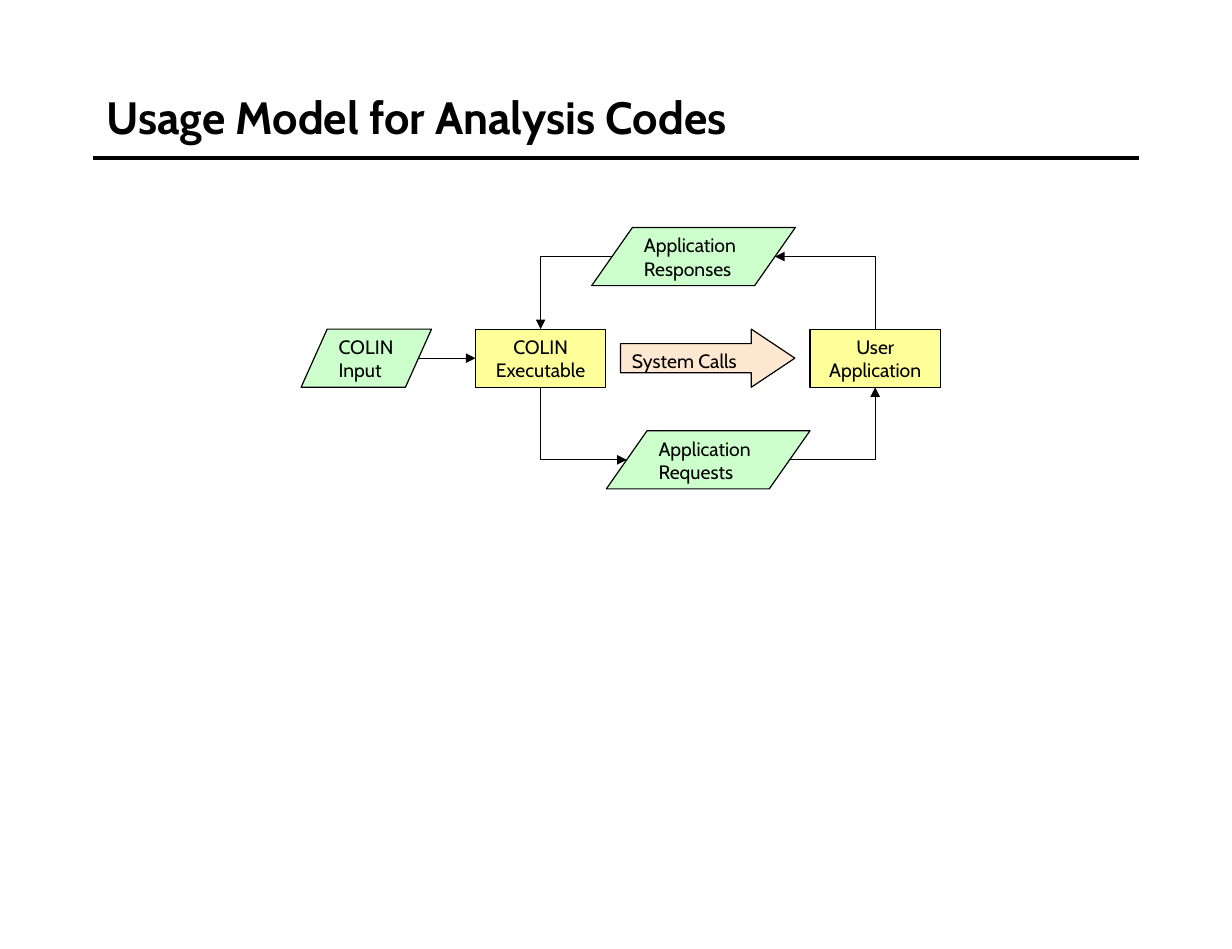
import pptx
import pptx.util
import pptx.dml.color
import pptx.enum.shapes
import pptx.enum.text
import pptx.oxml.ns
import lxml.etree

Cm = pptx.util.Cm
Pt = pptx.util.Pt
SHAPE = pptx.enum.shapes.MSO_SHAPE
LINK = pptx.enum.shapes.MSO_CONNECTOR
ALIGN = pptx.enum.text.PP_ALIGN
ANCHOR = pptx.enum.text.MSO_ANCHOR
qn = pptx.oxml.ns.qn

TITLE = "Usage Model for Analysis Codes"
FONT = "Cabin"
BLACK = "000000"

KINDS = {
    "data": (SHAPE.FLOWCHART_DATA, "CCFFCC", ALIGN.LEFT, 0.1),
    "program": (SHAPE.RECTANGLE, "FFFF99", ALIGN.CENTER, 0),
    "calls": (SHAPE.RIGHT_ARROW, "FFCC99", ALIGN.LEFT, 0),
}
STEPS = {
    "input": ("data", 6.58, 1, 2.85, ["COLIN", "Input"]),
    "executable": ("program", 10.39, 1, 2.85, ["COLIN", "Executable"]),
    "requests": ("data", 13.25, 2, 4.45, ["Application", "Requests"]),
    "user": ("program", 17.7, 1, 2.85, ["User", "Application"]),
    "responses": ("data", 12.93, 0, 4.45, ["Application", "Responses"]),
    "calls": ("calls", 13.56, 1, 3.81, ["System Calls"]),
}
FLOWS = [
    ("input", "right", "executable", "left"),
    ("executable", "bottom", "requests", "left"),
    ("responses", "left", "executable", "top"),
    ("user", "top", "responses", "right"),
    ("requests", "right", "user", "bottom"),
]
FIRST_ROW, ROW_STEP, STEP_HEIGHT = 4.97, 2.22, 1.27

deck = pptx.Presentation()
deck.slide_width, deck.slide_height = Cm(26.92), Cm(20.73)
slide = deck.slides.add_slide(deck.slide_layouts[6])


def color(value):
    return pptx.dml.color.RGBColor.from_string(value)


def write(frame, lines, size, align, margins, bold=False):
    frame.word_wrap = True
    frame.margin_left = frame.margin_right = Cm(margins[0])
    frame.margin_top = frame.margin_bottom = Cm(margins[1])
    for index, line in enumerate(lines):
        paragraph = frame.add_paragraph() if index else frame.paragraphs[0]
        paragraph.alignment = align
        run = paragraph.add_run()
        run.text = line
        run.font.name, run.font.size, run.font.bold = FONT, Pt(size), bold
        run.font.color.rgb = color(BLACK)


def row_top(row):
    return FIRST_ROW + row * ROW_STEP


def port(step, side):
    kind, left, row, width, _ = STEPS[step]
    slant = KINDS[kind][3] * width
    top = row_top(row)
    return {
        "left": (left + slant, top + STEP_HEIGHT / 2),
        "right": (left + width - slant, top + STEP_HEIGHT / 2),
        "top": (left + width / 2, top),
        "bottom": (left + width / 2, top + STEP_HEIGHT),
    }[side]


def draw_line(start, end, weight, link=LINK.STRAIGHT):
    line = slide.shapes.add_connector(link, *map(Cm, start + end))
    line.line.color.rgb = color(BLACK)
    line.line.width = Pt(weight)
    lxml.etree.SubElement(line._element.spPr, qn("a:effectLst"))
    return line


def bend(flow, start, end, upright):
    across, down = end[0] - start[0], end[1] - start[1]
    width, height = abs(across), abs(down)
    if upright:
        width, height = height, width
    flow.left = Cm((start[0] + end[0] - width) / 2)
    flow.top = Cm((start[1] + end[1] - height) / 2)
    flow.width, flow.height = Cm(width), Cm(height)
    frame = flow._element.spPr.find(qn("a:xfrm"))
    frame.set("rot", "16200000" if upright else "0")
    frame.set("flipH", str(int(down > 0 if upright else across < 0)))
    frame.set("flipV", str(int(across < 0 if upright else down < 0)))
    flow._element.spPr.find(qn("a:prstGeom")).set("prst", "bentConnector2")


def draw_step(kind, left, row, width, lines):
    outline, fill, align, _ = KINDS[kind]
    step = slide.shapes.add_shape(
        outline, Cm(left), Cm(row_top(row)), Cm(width), Cm(STEP_HEIGHT))
    step.shadow.inherit = False
    step.fill.solid()
    step.fill.fore_color.rgb = color(fill)
    step.line.color.rgb = color(BLACK)
    step.line.width = Pt(0.75)
    step.text_frame.vertical_anchor = ANCHOR.TOP
    write(step.text_frame, lines, 12, align, (0.25, 0.13))
    if kind == "calls":
        step.adjustments[0], step.adjustments[1] = 0.5, 0.75
        tint = step._element.spPr.find(qn("a:solidFill"))[0]
        lxml.etree.SubElement(tint, qn("a:alpha")).set("val", "44000")


def draw_flow(source, exit_side, target, entry_side):
    start, end = port(source, exit_side), port(target, entry_side)
    straight = start[1] == end[1]
    flow = draw_line(start, end, 0.75, LINK.STRAIGHT if straight else LINK.ELBOW)
    if not straight:
        bend(flow, start, end, exit_side in ("top", "bottom"))
    stroke = flow._element.spPr.find(qn("a:ln"))
    lxml.etree.SubElement(stroke, qn("a:tailEnd")).set("type", "triangle")


draw_line((2.03, 3.45), (24.89, 3.45), 3)
title = slide.shapes.add_textbox(Cm(2.03), Cm(1.42), Cm(22.89), Cm(2.24))
title.text_frame.vertical_anchor = ANCHOR.MIDDLE
write(title.text_frame, [TITLE], 28, ALIGN.LEFT, (0.3, 0.15), True)

for step in STEPS.values():
    draw_step(*step)
for flow in FLOWS:
    draw_flow(*flow)

deck.save("out.pptx")
